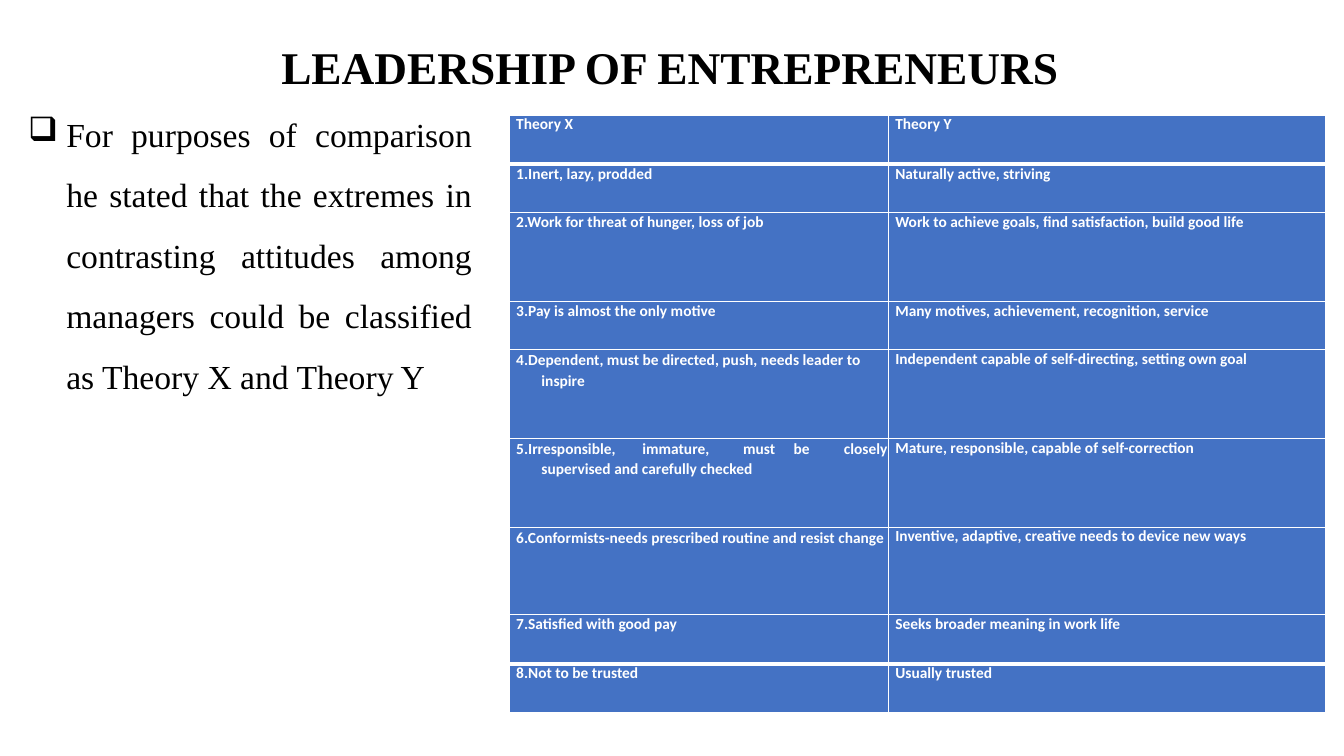
from lxml.etree import SubElement
from pptx import Presentation
from pptx.dml.color import RGBColor
from pptx.enum.text import MSO_ANCHOR, MSO_AUTO_SIZE, PP_ALIGN
from pptx.oxml.ns import qn
from pptx.util import Inches, Pt

COLORS = {"text": "000000", "light": "FFFFFF", "cell": "4472C4"}
SERIF, SANS = "Times New Roman", "Calibri"
TITLE = "LEADERSHIP OF ENTREPRENEURS"
INTRO = ("For purposes of comparison he stated that the extremes in contrasting "
         "attitudes among managers could be classified as Theory X and Theory Y")
THEORIES = [
    ("Theory X", "Theory Y"),
    ("1.Inert, lazy, prodded", "Naturally active, striving"),
    ("2.Work for threat of hunger, loss of job",
     "Work to achieve goals, find satisfaction, build good life"),
    ("3.Pay is almost the only motive", "Many motives, achievement, recognition, service"),
    ("4.Dependent, must be directed, push, needs leader to inspire",
     "Independent capable of self-directing, setting own goal"),
    ("5.Irresponsible,\timmature,\tmust\tbe\tclosely supervised and carefully checked",
     "Mature, responsible, capable of self-correction"),
    ("6.Conformists-needs prescribed routine and resist change",
     "Inventive, adaptive, creative needs to device new ways"),
    ("7.Satisfied with good pay", "Seeks broader meaning in work life"),
    ("8.Not to be trusted", "Usually trusted"),
]
COLUMN_WIDTHS = [3.76, 4.34]
ROW_HEIGHTS = [0.49, 0.48, 0.88, 0.48, 0.88, 0.88, 0.87, 0.49, 0.48]
HANGING_ROWS = {4, 5, 6}
TAB_ROW, TAB_STOPS = 5, [1.18, 1.97, 2.42, 2.73]
THICK_RULES = {1, 8}


def style_runs(paragraph, size, font, color, bold=False):
    """Format every run of a paragraph."""
    for run in paragraph.runs:
        run.font.size, run.font.name, run.font.bold = Pt(size), font, bold
        run.font.color.rgb = RGBColor.from_string(COLORS[color])


def set_indent(paragraph, left, first=0, bullet=None, tabs=()):
    """Set indents in inches, then the bullet and tab stops."""
    properties = paragraph._p.get_or_add_pPr()
    properties.set("marL", str(Inches(left)))
    properties.set("indent", str(Inches(first)))
    if bullet:
        SubElement(properties, qn("a:buChar"), char=bullet)
    if tabs:
        tab_list = SubElement(properties, qn("a:tabLst"))
        for stop in tabs:
            SubElement(tab_list, qn("a:tab"), pos=str(Inches(stop)), algn="l")


def set_borders(cell, top, bottom):
    """Draw light borders with the given top and bottom widths in points."""
    properties = cell._tc.get_or_add_tcPr()
    for tag, width in (("lnL", 1), ("lnR", 1), ("lnT", top), ("lnB", bottom)):
        line = SubElement(properties, qn(f"a:{tag}"), w=str(Pt(width)))
        fill = SubElement(line, qn("a:solidFill"))
        SubElement(fill, qn("a:srgbClr"), val=COLORS["light"])


def place_title(slide, left, top, width, height):
    """Place the centred slide title."""
    title = slide.shapes.title
    title.left, title.top = Inches(left), Inches(top)
    title.width, title.height = Inches(width), Inches(height)
    frame = title.text_frame
    frame.text = TITLE
    frame.auto_size = MSO_AUTO_SIZE.NONE
    frame.vertical_anchor = MSO_ANCHOR.BOTTOM
    paragraph = frame.paragraphs[0]
    paragraph.alignment, paragraph.line_spacing = PP_ALIGN.CENTER, 1.5
    style_runs(paragraph, 32.4, SERIF, "text", bold=True)


def add_intro(slide, left, top, width, height):
    """Add the justified bullet that introduces the theories."""
    box = slide.shapes.add_textbox(Inches(left), Inches(top), Inches(width), Inches(height))
    frame = box.text_frame
    frame.word_wrap = True
    frame.text = INTRO
    paragraph = frame.paragraphs[0]
    set_indent(paragraph, 0.38, -0.38, bullet="❑", tabs=[0.83])
    paragraph.alignment, paragraph.line_spacing = PP_ALIGN.JUSTIFY, 1.5
    style_runs(paragraph, 24, SERIF, "text")


def fill_cell(cell, text, row, hanging):
    """Write and format one cell of the comparison table."""
    set_borders(cell, 3 if row in THICK_RULES else 1, 3 if row + 1 in THICK_RULES else 1)
    cell.fill.solid()
    cell.fill.fore_color.rgb = RGBColor.from_string(COLORS["cell"])
    cell.margin_left = cell.margin_right = cell.margin_top = cell.margin_bottom = 0
    paragraph = cell.text_frame.paragraphs[0]
    paragraph.text = text
    if hanging:
        set_indent(paragraph, 0.32, -0.25, tabs=TAB_STOPS if row == TAB_ROW else ())
        paragraph.line_spacing = 1.07
    else:
        set_indent(paragraph, 0.07)
    style_runs(paragraph, 11, SANS, "light", bold=True)


def add_theories(slide, left, top, width, height):
    """Add the table that compares Theory X with Theory Y."""
    table = slide.shapes.add_table(len(THEORIES), len(COLUMN_WIDTHS), Inches(left),
                                   Inches(top), Inches(width), Inches(height)).table
    for column, column_width in zip(table.columns, COLUMN_WIDTHS):
        column.width = Inches(column_width)
    for row, texts in enumerate(THEORIES):
        table.rows[row].height = Inches(ROW_HEIGHTS[row])
        for column, text in enumerate(texts):
            hanging = column == 0 and row in HANGING_ROWS
            fill_cell(table.cell(row, column), text, row, hanging)


def main():
    """Build and save the slide."""
    presentation = Presentation()
    presentation.slide_width, presentation.slide_height = Inches(13.33), Inches(7.5)
    slide = presentation.slides.add_slide(presentation.slide_layouts[5])
    place_title(slide, 0.33, 0.28, 12.63, 0.7)
    add_intro(slide, 0.18, 0.88, 4.6, 5.92)
    add_theories(slide, 5.05, 1.14, sum(COLUMN_WIDTHS), sum(ROW_HEIGHTS))
    presentation.save("out.pptx")


if __name__ == "__main__":
    main()
